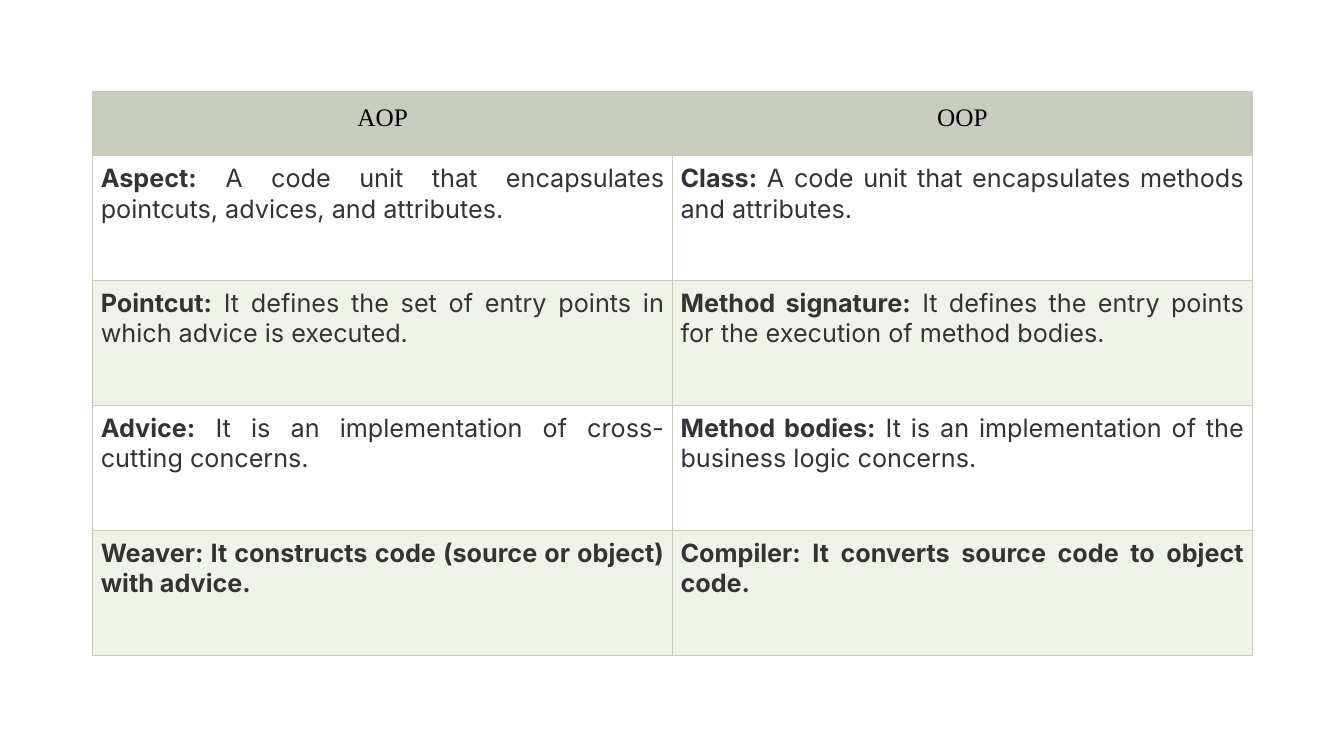
"""Build a slide with a table that compares AOP and OOP terms."""
from dataclasses import dataclass

from lxml import etree
from pptx import Presentation
from pptx.dml.color import RGBColor
from pptx.enum.text import PP_ALIGN
from pptx.oxml.ns import qn
from pptx.util import Inches, Pt

CENTER, JUSTIFY = PP_ALIGN.CENTER, PP_ALIGN.JUSTIFY
BLANK_LAYOUT = 6


@dataclass
class Theme:
    header_fill: str = "C7CCBE"
    border: str = "C7CCBE"
    row_fills: tuple = ("FFFFFF", "EFF1EB")
    header_text: str = "000000"
    body_text: str = "333333"
    header_font: str = "Times New Roman"
    body_font: str = "Inter"
    text_size: float = 18
    border_width: float = 0.75


THEME = Theme()
HEADERS = ["AOP", "OOP"]
TERMS = [
    [("Aspect:", " A code unit that encapsulates pointcuts, advices, and attributes."),
     ("Class:", " A code unit that encapsulates methods and attributes.")],
    [("Pointcut:", " It defines the set of entry points in which advice is executed."),
     ("Method signature:", " It defines the entry points for the execution of method bodies.")],
    [("Advice:", " It is an implementation of cross-cutting concerns."),
     ("Method bodies:", " It is an implementation of the business logic concerns.")],
    [("Weaver: It constructs code (source or object) with advice.", ""),
     ("Compiler: It converts source code to object code.", "")],
]
LEFT, TOP, COLUMN_WIDTH = 0.92, 0.91, 5.75
HEADER_HEIGHT, ROW_HEIGHT = 0.63, 1.24


def style_cell(cell, fill, inset):
    """Set the borders, fill and insets of a cell."""
    properties = cell._tc.get_or_add_tcPr()
    for side in ("a:lnL", "a:lnR", "a:lnT", "a:lnB"):
        line = etree.SubElement(properties, qn(side), w=str(Pt(THEME.border_width)))
        solid = etree.SubElement(line, qn("a:solidFill"))
        etree.SubElement(solid, qn("a:srgbClr"), val=THEME.border)
    cell.fill.solid()
    cell.fill.fore_color.rgb = RGBColor.from_string(fill)
    cell.margin_left = cell.margin_right = Inches(inset)
    cell.margin_top = cell.margin_bottom = Inches(inset)


def style_paragraph(para, alignment, font_name, color):
    """Set the alignment and font of a paragraph."""
    para.alignment = alignment
    para.font.name = font_name
    para.font.size = Pt(THEME.text_size)
    para.font.color.rgb = RGBColor.from_string(color)


deck = Presentation()
deck.slide_width, deck.slide_height = Inches(13.33), Inches(7.5)
slide = deck.slides.add_slide(deck.slide_layouts[BLANK_LAYOUT])

frame = slide.shapes.add_table(
    len(TERMS) + 1, len(HEADERS), Inches(LEFT), Inches(TOP),
    Inches(COLUMN_WIDTH * len(HEADERS)), Inches(HEADER_HEIGHT + ROW_HEIGHT * len(TERMS)))
table = frame.table
for column in table.columns:
    column.width = Inches(COLUMN_WIDTH)
for row in table.rows:
    row.height = Inches(ROW_HEIGHT)
table.rows[0].height = Inches(HEADER_HEIGHT)

for column_index, header in enumerate(HEADERS):
    cell = table.cell(0, column_index)
    style_cell(cell, THEME.header_fill, 0.12)
    para = cell.text_frame.paragraphs[0]
    style_paragraph(para, CENTER, THEME.header_font, THEME.header_text)
    span = para.add_run()
    span.text = header
    span.font.bold = False

for row_index, terms in enumerate(TERMS):
    for column_index, (term, definition) in enumerate(terms):
        cell = table.cell(row_index + 1, column_index)
        style_cell(cell, THEME.row_fills[row_index % 2], 0.08)
        para = cell.text_frame.paragraphs[0]
        style_paragraph(para, JUSTIFY, THEME.body_font, THEME.body_text)
        for text, bold in ((term, True), (definition, False)):
            if text:
                span = para.add_run()
                span.text = text
                span.font.bold = bold

deck.save("out.pptx")
